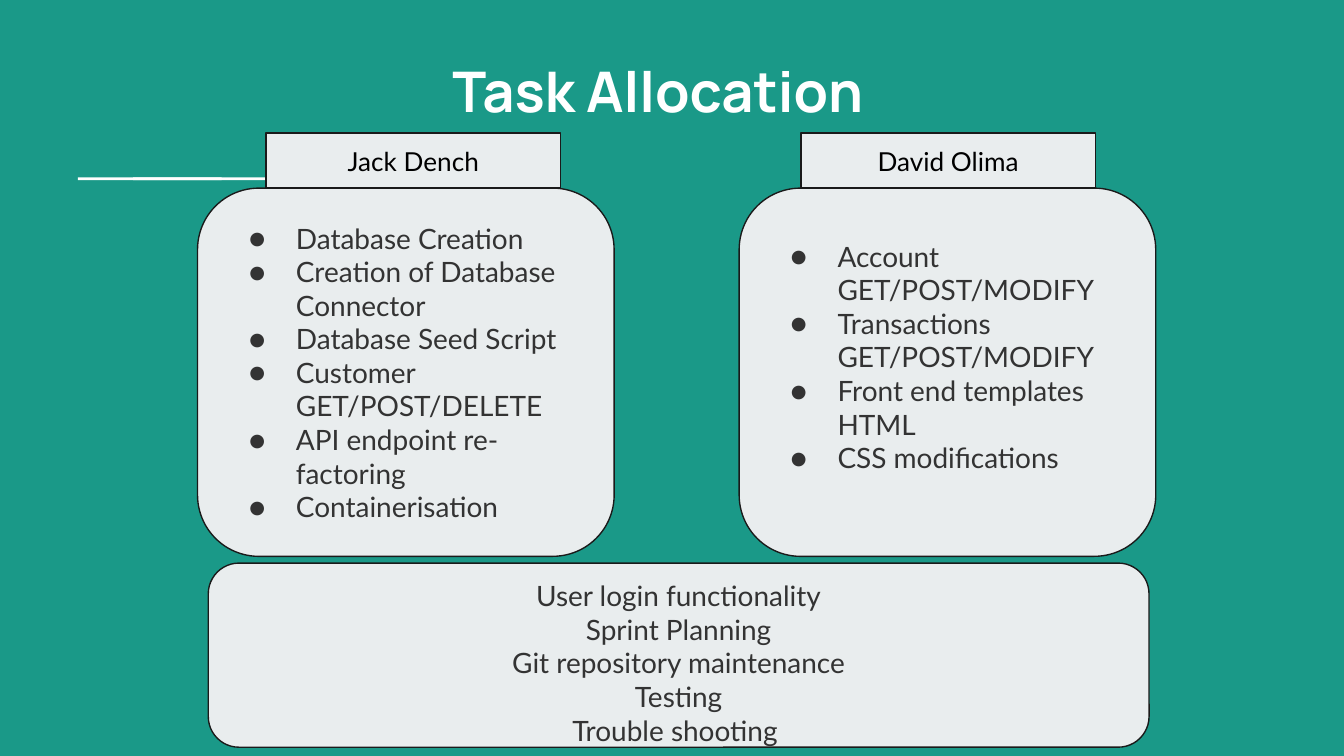
from lxml import etree
from pptx import Presentation
from pptx import util as u
from pptx.dml.color import RGBColor
from pptx.enum import shapes, text
from pptx.oxml import ns

TEAL = RGBColor(0x1A, 0x99, 0x88)
WHITE = RGBColor(0xFF, 0xFF, 0xFF)
PALE = RGBColor(0xE9, 0xED, 0xEE)
OUTLINE = RGBColor(0x1A, 0x1A, 0x1A)
BLACK = RGBColor(0, 0, 0)
GREY = RGBColor(0x33, 0x33, 0x33)

MEMBERS = [
    (1.98, "Jack Dench", 1.47, 0.1, [
        "Database Creation",
        "Creation of Database Connector",
        "Database Seed Script",
        "Customer GET/POST/DELETE",
        "API endpoint re-factoring",
        "Containerisation",
    ]),
    (5.96, "David Olima", 5.5, 0.33, [
        "Account GET/POST/MODIFY",
        "Transactions GET/POST/MODIFY",
        "Front end templates HTML",
        "CSS modifications",
    ]),
]
SHARED_TASKS = [
    "User login functionality",
    "Sprint Planning",
    "Git repository maintenance",
    "Testing",
    "Trouble shooting ",
]


class TaskSlide:
    heading_font = "Manrope"
    body_font = "Lato"

    def __init__(self, deck):
        self.slide = deck.slides.add_slide(deck.slide_layouts[5])
        self.slide.background.fill.solid()
        self.slide.background.fill.fore_color.rgb = TEAL

    def place(self, shape, left, top, width, height):
        shape.left, shape.top = u.Inches(left), u.Inches(top)
        shape.width, shape.height = u.Inches(width), u.Inches(height)

    def set_frame(self, frame, anchor, top=0.1, bottom=0.1):
        frame.word_wrap = True
        frame.auto_size = text.MSO_AUTO_SIZE.NONE
        frame.vertical_anchor = anchor
        frame.margin_left = frame.margin_right = u.Inches(0.1)
        frame.margin_top, frame.margin_bottom = u.Inches(top), u.Inches(bottom)

    def set_font(self, paragraph, name, size, color, bold=False):
        font = paragraph.font
        font.name, font.size, font.bold = name, u.Pt(size), bold
        font.color.rgb = color

    def title(self, words, *box):
        title = self.slide.shapes.title
        self.place(title, *box)
        self.set_frame(title.text_frame, text.MSO_ANCHOR.TOP)
        title.text_frame.text = words
        heading = title.text_frame.paragraphs[0]
        heading.alignment = text.PP_ALIGN.CENTER
        self.set_font(heading, self.heading_font, 30, WHITE, True)

    def block(self, kind, box, fill, outline=None):
        block = self.slide.shapes.add_shape(kind, *map(u.Inches, box))
        block.shadow.inherit = False
        block.fill.solid()
        block.fill.fore_color.rgb = fill
        if outline is None:
            block.line.fill.background()
        else:
            block.line.color.rgb = outline
            block.line.width = u.Pt(0.75)
        return block

    def bullet(self, paragraph):
        props = paragraph._p.get_or_add_pPr()
        props.set("marL", str(u.Inches(0.5)))
        props.set("indent", str(u.Inches(-0.35)))
        color = etree.SubElement(props, ns.qn("a:buClr"))
        etree.SubElement(color, ns.qn("a:srgbClr"), val=str(GREY))
        etree.SubElement(props, ns.qn("a:buFont"), typeface=self.body_font)
        etree.SubElement(props, ns.qn("a:buChar"), char="●")

    def card(self, kind, box, lines, size=15, color=GREY, bulleted=False,
             anchor=text.MSO_ANCHOR.MIDDLE, top=0.1, bottom=0.1):
        frame = self.block(kind, box, PALE, OUTLINE).text_frame
        self.set_frame(frame, anchor, top, bottom)
        frame.text = "\n".join(lines)
        for paragraph in frame.paragraphs:
            if bulleted:
                paragraph.alignment = text.PP_ALIGN.LEFT
                self.bullet(paragraph)
            else:
                paragraph.alignment = text.PP_ALIGN.CENTER
            self.set_font(paragraph, self.body_font, size, color)


def main():
    deck = Presentation()
    deck.slide_width, deck.slide_height = u.Inches(10), u.Inches(10 * 9 / 16)
    rect = shapes.MSO_SHAPE.RECTANGLE
    rounded = shapes.MSO_SHAPE.ROUNDED_RECTANGLE

    page = TaskSlide(deck)
    for rule_left in (0.99, 0.58):
        page.block(rect, (rule_left, 1.32, 1.07, 0.02), WHITE)
    page.title("Task Allocation", 0.69, 0.32, 8.41, 1.66)
    for name_left, name, tasks_left, bottom, tasks in MEMBERS:
        page.card(rounded, (tasks_left, 1.4, 3.1, 2.74), tasks,
                  bulleted=True, bottom=bottom)
        page.card(rect, (name_left, 0.99, 2.19, 0.41), [name], 14, BLACK)
    page.card(rounded, (1.55, 4.19, 7, 1.37), SHARED_TASKS,
              anchor=text.MSO_ANCHOR.TOP, top=0.05, bottom=0)
    deck.save("out.pptx")


if __name__ == "__main__":
    main()
